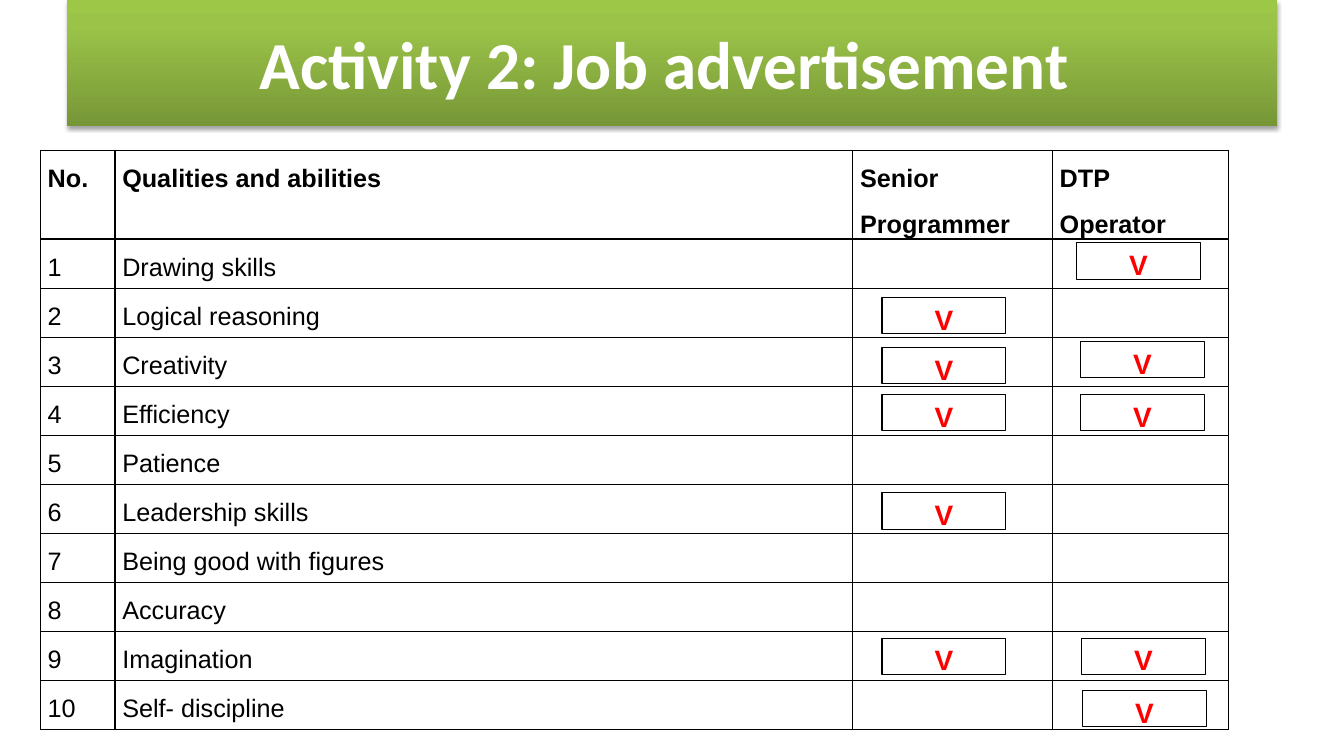
import copy

import lxml.etree
import pptx
import pptx.dml.color
import pptx.enum.dml
import pptx.enum.shapes
import pptx.enum.text
import pptx.oxml
import pptx.oxml.ns
import pptx.util

GRID_COLUMNS = 40
GRID_ROWS = 22.5

# The table, in grid units
TABLE_LEFT, TABLE_TOP = 1.2, 4.47
COLUMN_WIDTHS = [2.22, 21.96, 5.94, 5.25]
HEADER_HEIGHT, ROW_HEIGHT = 2.64, 1.46
MARK_WIDTH, MARK_HEIGHT = 3.69, 1.08

HEADINGS = ["No.", "Qualities and abilities", "Senior\nProgrammer", "DTP\nOperator"]
QUALITIES = [
    "Drawing skills", "Logical reasoning", "Creativity", "Efficiency", "Patience ",
    "Leadership skills", "Being good with figures ", "Accuracy", "Imagination ",
    "Self- discipline ",
]
SENIOR_PROGRAMMER, DTP_OPERATOR = 2, 3
# Table column, table row, then the offset of the mark inside that cell
MARKS = [
    (SENIOR_PROGRAMMER, 2, 0.87, 0.28),
    (SENIOR_PROGRAMMER, 3, 0.87, 0.32),
    (SENIOR_PROGRAMMER, 4, 0.87, 0.24),
    (SENIOR_PROGRAMMER, 6, 0.87, 0.26),
    (SENIOR_PROGRAMMER, 9, 0.87, 0.2),
    (DTP_OPERATOR, 1, 0.72, 0.12),
    (DTP_OPERATOR, 3, 0.84, 0.14),
    (DTP_OPERATOR, 4, 0.84, 0.24),
    (DTP_OPERATOR, 9, 0.87, 0.2),
    (DTP_OPERATOR, 10, 0.9, 0.3),
]


def color(hex_string):
    return pptx.dml.color.RGBColor.from_string(hex_string)


class SlideBuilder:
    body_font, title_font = "Arial", "Calibri"
    ink, paper, accent = "000000", "FFFFFF", "FF0000"
    title_gradient = [(0, "779737"), (0.8, "9BC348"), (1, "9DC746")]

    def __init__(self, presentation):
        self.column = presentation.slide_width / GRID_COLUMNS
        self.row = presentation.slide_height / GRID_ROWS
        self.slide = presentation.slides.add_slide(presentation.slide_layouts[5])

    def across(self, columns):
        return pptx.util.Emu(round(columns * self.column))

    def down(self, rows):
        return pptx.util.Emu(round(rows * self.row))

    def box(self, left, top, width, height):
        return self.across(left), self.down(top), self.across(width), self.down(height)

    def format_runs(self, paragraph, font_name, size, hex_string, bold):
        for run in paragraph.runs:
            run.font.name = font_name
            run.font.size = pptx.util.Pt(size)
            run.font.color.rgb = color(hex_string)
            run.font.bold = bold

    def title(self, text, left, top, width, height):
        shape = self.slide.shapes.title
        shape.left, shape.top, shape.width, shape.height = self.box(left, top, width, height)
        shape.fill.gradient()
        shape.fill.gradient_angle = 90
        first_stop = shape.fill.gradient_stops[0]
        stop_list = shape.element.spPr.find(".//" + pptx.oxml.ns.qn("a:gsLst"))
        stop_list.append(copy.deepcopy(stop_list[0]))
        for stop, (position, hex_string) in zip(shape.fill.gradient_stops, self.title_gradient):
            stop.position = position
            stop.color.rgb = color(hex_string)
        self.add_shadow(shape)
        shape.text_frame.text = text
        shape.text_frame.vertical_anchor = pptx.enum.text.MSO_ANCHOR.MIDDLE
        paragraph = shape.text_frame.paragraphs[0]
        paragraph.alignment = pptx.enum.text.PP_ALIGN.CENTER
        self.format_runs(paragraph, self.title_font, 48, self.paper, True)

    def add_shadow(self, shape):
        shape.element.spPr.append(pptx.oxml.parse_xml(
            f'<a:effectLst {pptx.oxml.ns.nsdecls("a")}>'
            '<a:outerShdw blurRad="40000" dist="23000" dir="5400000" rotWithShape="0">'
            f'<a:srgbClr val="{self.ink}"><a:alpha val="35000"/></a:srgbClr>'
            '</a:outerShdw></a:effectLst>'))

    def table(self, contents, left, top, widths, heights):
        frame = self.slide.shapes.add_table(
            len(heights), len(widths), *self.box(left, top, sum(widths), sum(heights)))
        table = frame.table
        table.first_row = table.horz_banding = False
        for table_column, width in zip(table.columns, widths):
            table_column.width = self.across(width)
        for index, (table_row, height) in enumerate(zip(table.rows, heights)):
            table_row.height = self.down(height)
            for cell, text in zip(table_row.cells, contents[index]):
                self.fill_cell(cell, text, bold=index == 0)

    def fill_cell(self, cell, text, bold):
        cell.text_frame.text = text
        cell.margin_left = cell.margin_right = self.across(0.22)
        cell.margin_top = cell.margin_bottom = 0
        cell.fill.background()
        self.add_borders(cell)
        for paragraph in cell.text_frame.paragraphs:
            paragraph.alignment = pptx.enum.text.PP_ALIGN.JUSTIFY
            paragraph.line_spacing = 1.5
            paragraph.space_before = pptx.util.Pt(3)
            self.format_runs(paragraph, self.body_font, 18, self.ink, bold)

    def add_borders(self, cell):
        properties = cell._tc.get_or_add_tcPr()
        for index, side in enumerate(["lnL", "lnR", "lnT", "lnB"]):
            properties.insert(index, pptx.oxml.parse_xml(
                f'<a:{side} {pptx.oxml.ns.nsdecls("a")} w="{pptx.util.Pt(1)}">'
                f'<a:solidFill><a:srgbClr val="{self.ink}"/></a:solidFill></a:{side}>'))

    def mark(self, text, left, top):
        shape = self.slide.shapes.add_shape(
            pptx.enum.shapes.MSO_SHAPE.RECTANGLE,
            *self.box(left, top, MARK_WIDTH, MARK_HEIGHT))
        shape.shadow.inherit = False
        shape.fill.solid()
        shape.fill.fore_color.rgb = color(self.paper)
        shape.line.color.rgb = color(self.ink)
        shape.line.width = pptx.util.Pt(0.75)
        shape.text_frame.text = text
        shape.text_frame.vertical_anchor = pptx.enum.text.MSO_ANCHOR.TOP
        paragraph = shape.text_frame.paragraphs[0]
        paragraph.alignment = pptx.enum.text.PP_ALIGN.CENTER
        self.format_runs(paragraph, self.body_font, 20, self.accent, True)


def main():
    presentation = pptx.Presentation()
    presentation.slide_width = pptx.util.Inches(13.33)
    presentation.slide_height = pptx.util.Inches(7.5)
    builder = SlideBuilder(presentation)
    builder.title("Activity 2: Job advertisement ", 2, 0, 36, 3.75)

    contents = [HEADINGS] + [
        [str(number), quality, "", ""] for number, quality in enumerate(QUALITIES, start=1)]
    heights = [HEADER_HEIGHT] + [ROW_HEIGHT] * len(QUALITIES)
    builder.table(contents, TABLE_LEFT, TABLE_TOP, COLUMN_WIDTHS, heights)

    for column, row, indent, drop in MARKS:
        cell_left = TABLE_LEFT + sum(COLUMN_WIDTHS[:column])
        cell_top = TABLE_TOP + sum(heights[:row])
        builder.mark("V", cell_left + indent, cell_top + drop)

    presentation.save("out.pptx")


if __name__ == "__main__":
    main()
